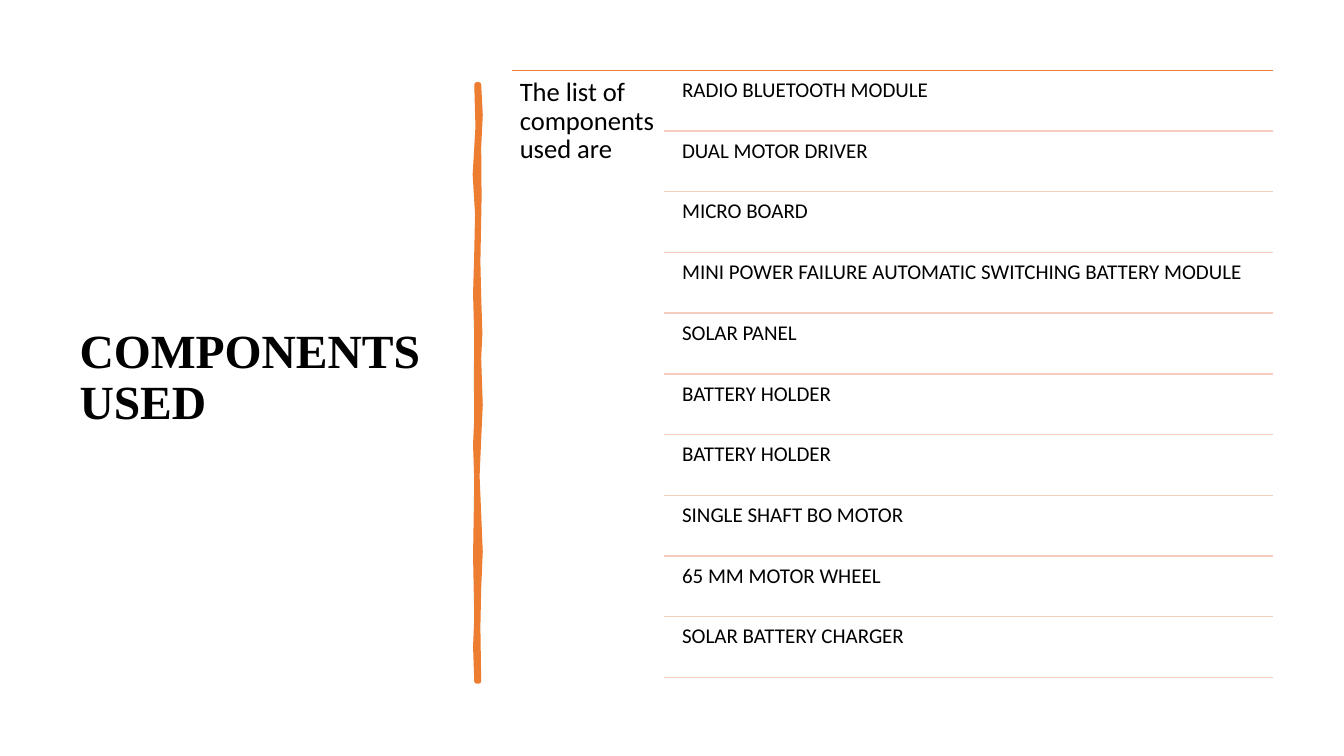
from lxml.etree import SubElement
from pptx import Presentation
from pptx.dml.color import RGBColor
from pptx.enum.shapes import MSO_CONNECTOR as Connector
from pptx.enum.text import MSO_ANCHOR as Anchor, MSO_AUTO_SIZE as AutoSize, PP_ALIGN as Align
from pptx.oxml.ns import qn
from pptx.util import Cm, Pt

ORANGE, PALE_ORANGE, BLACK = "ED7D31", "F6CCBE", "000000"
LIST_LEFT, LIST_RIGHT, LIST_TOP = 12.9, 32.08, 1.78
ROW_LEFT, ROW_TEXT_LEFT, ROW_TOP, ROW_STEP = 16.74, 17.04, 1.85, 1.53
ROW_TEXT_HEIGHT, DIVIDER_DROP = 1.44, 1.45
COMPONENTS = [
    "RADIO BLUETOOTH MODULE",
    "DUAL MOTOR DRIVER",
    "MICRO BOARD",
    "MINI POWER FAILURE AUTOMATIC SWITCHING BATTERY MODULE",
    "SOLAR PANEL",
    "BATTERY HOLDER",
    "BATTERY HOLDER",
    "SINGLE SHAFT BO MOTOR",
    "65 MM MOTOR WHEEL",
    "SOLAR BATTERY CHARGER",
]
BRUSH_OUTLINE = [
    (12.07, 2.13), (12.11, 2.9), (12.07, 3.71), (12.08, 5), (12.05, 6.6),
    (12.07, 7.47), (12.1, 8.4), (12.07, 9.04), (12.11, 10.2), (12.07, 11.07),
    (12.03, 12), (12.07, 12.95), (12.11, 13.9), (12.07, 14.83), (12.05, 15.8),
    (12.07, 17.17), (12.01, 17.17), (11.98, 16.3), (12.01, 15.57), (11.98, 14),
    (12.01, 12.12), (11.98, 11.2), (12.01, 10.54), (12, 9.5), (12.01, 8.51),
    (11.98, 7.4), (12.01, 6.35), (12.03, 5.4), (11.97, 4.4), (12.04, 3.2),
    (12.01, 2.13),
]


def color(hex_string):
    return RGBColor.from_string(hex_string)


def write_text(frame, text, size, font_name, bold=False):
    frame.word_wrap = True
    frame.auto_size = AutoSize.NONE
    paragraph = frame.paragraphs[0]
    paragraph.alignment = Align.LEFT
    paragraph.line_spacing = 0.9
    run = paragraph.add_run()
    run.text = text
    run.font.size = Pt(size)
    run.font.name = font_name
    run.font.bold = bold
    run.font.color.rgb = color(BLACK)


def add_title(slide, text):
    title = slide.shapes.title
    title.left, title.top, title.width, title.height = Cm(1.75), Cm(1.78), Cm(9.5), Cm(15.52)
    title.text_frame.vertical_anchor = Anchor.MIDDLE
    write_text(title.text_frame, text, 34, "Times New Roman", bold=True)


def add_label(slide, text, left, top, width, height, size, inset):
    shape = slide.shapes.add_textbox(Cm(left), Cm(top), Cm(width), Cm(height))
    frame = shape.text_frame
    frame.margin_left = frame.margin_right = Cm(inset)
    frame.margin_top = frame.margin_bottom = Cm(inset)
    write_text(frame, text, size, "Calibri")


def add_rule(slide, left, top, hex_string):
    line = slide.shapes.add_connector(
        Connector.STRAIGHT, Cm(left), Cm(top), Cm(LIST_RIGHT), Cm(top))
    line.line.color.rgb = color(hex_string)
    line.line.width = Pt(1)
    SubElement(line.element.spPr, qn("a:effectLst"))


def add_brush_stroke(slide):
    points = [(Cm(x), Cm(y)) for x, y in BRUSH_OUTLINE]
    builder = slide.shapes.build_freeform(*points[0])
    builder.add_line_segments(points[1:], close=True)
    stroke = builder.convert_to_shape()
    stroke.shadow.inherit = False
    stroke.fill.solid()
    stroke.fill.fore_color.rgb = color(ORANGE)
    stroke.line.color.rgb = color(ORANGE)
    stroke.line.width = Pt(3.25)


def add_component_row(slide, index, name):
    top = ROW_TOP + index * ROW_STEP
    add_label(slide, name, ROW_TEXT_LEFT, top, LIST_RIGHT - ROW_TEXT_LEFT,
              ROW_TEXT_HEIGHT, 15, 0.15)
    add_rule(slide, ROW_LEFT, top + DIVIDER_DROP, PALE_ORANGE)


def main():
    """Build the slide that lists the components used."""
    presentation = Presentation()
    presentation.slide_width, presentation.slide_height = Cm(33.87), Cm(19.05)
    slide = presentation.slides.add_slide(presentation.slide_layouts[5])
    add_title(slide, "COMPONENTS USED")
    add_brush_stroke(slide)
    add_rule(slide, LIST_LEFT, LIST_TOP, ORANGE)
    add_label(slide, "The list of components used are", LIST_LEFT, LIST_TOP,
              ROW_LEFT - LIST_LEFT, 15.37, 19, 0.2)
    for index, name in enumerate(COMPONENTS):
        add_component_row(slide, index, name)
    presentation.save("out.pptx")


if __name__ == "__main__":
    main()
